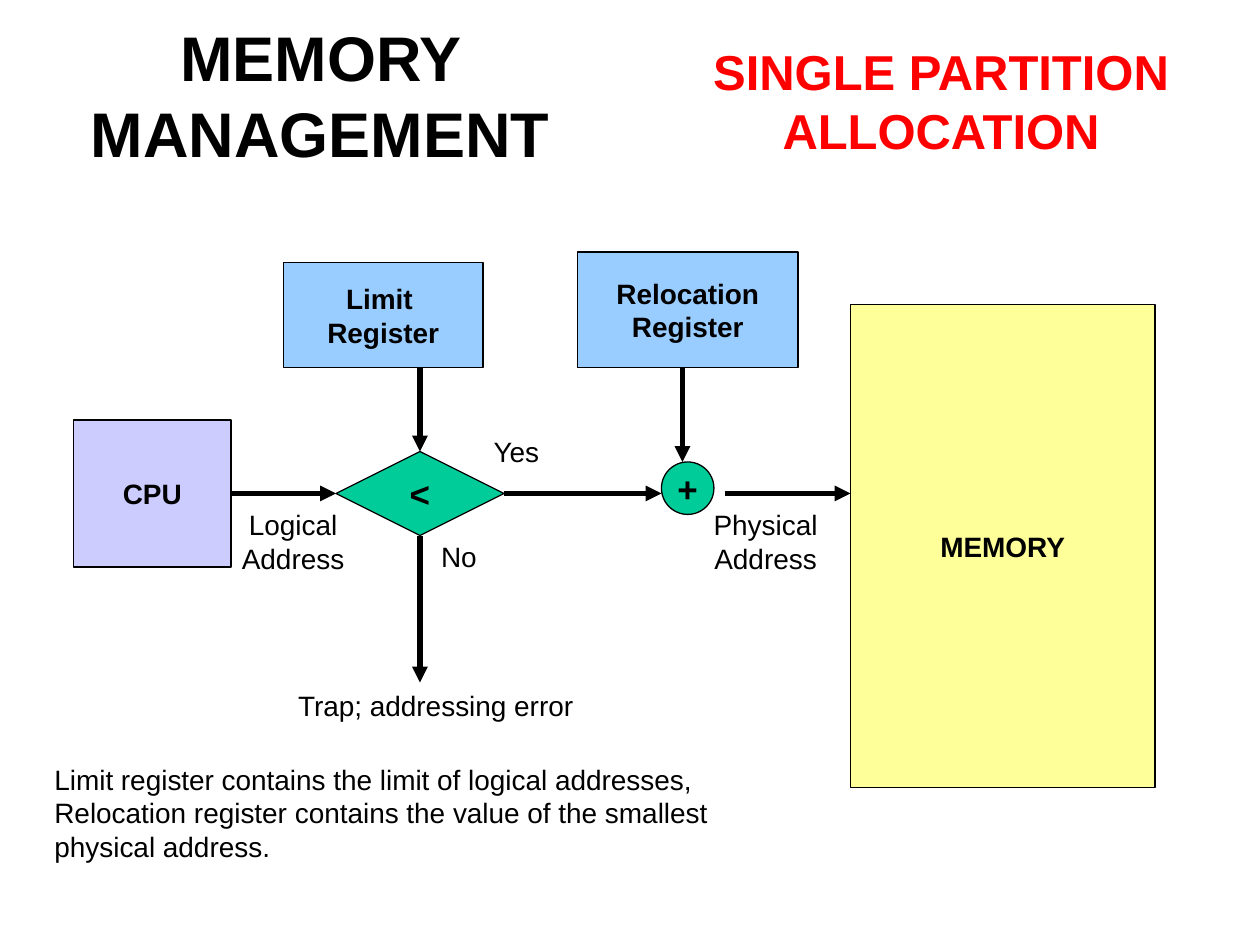
"""Draw the single partition allocation slide."""
from dataclasses import dataclass
from typing import Optional

from lxml import etree
from pptx import Presentation
from pptx.dml.color import RGBColor
from pptx.enum import shapes, text
from pptx.oxml import ns
from pptx.util import Pt

BLACK = "000000"
KIND = shapes.MSO_SHAPE
MID = text.MSO_ANCHOR.MIDDLE
TOP = text.MSO_ANCHOR.TOP
LEFT = text.PP_ALIGN.LEFT
CENTER = text.PP_ALIGN.CENTER
UP, WEST, DOWN, EAST = range(4)


@dataclass
class Style:
    size: float = 16
    bold: bool = False
    color: str = BLACK
    align: int = CENTER
    anchor: int = TOP
    wrap: bool = False
    grow: bool = True


@dataclass
class Node:
    name: str
    words: str
    box: tuple
    fill: str
    kind: int = KIND.RECTANGLE
    size: float = 16


@dataclass
class Label:
    words: str
    box: tuple
    style: Style


@dataclass
class Arrow:
    start: tuple
    end: tuple
    tail: Optional[tuple] = None
    head: Optional[tuple] = None


PLAIN = Style()
SIDE = Style(align=LEFT)
LABELS = [
    Label("MEMORY MANAGEMENT", (0, 12, 366, 84),
          Style(36, True, anchor=MID, wrap=True, grow=False)),
    Label("SINGLE PARTITION\nALLOCATION", (398.5, 20, 278.5, 75), Style(28, True, "FF0000")),
    Label("No", (245, 304.5, 36, 26.5), SIDE),
    Label("Logical\nAddress", (130, 286.5, 75, 46), PLAIN),
    Label("Yes", (275, 244.5, 43, 26.5), SIDE),
    Label("Physical\nAddress", (399.5, 286.5, 76, 46), PLAIN),
    Label("Limit register contains the limit of logical addresses, Relocation register "
          "contains the value of the smallest physical address.",
          (24, 432, 438, 65), Style(align=LEFT, wrap=True)),
    Label("Trap; addressing error", (126, 390, 246, 26.5), Style(wrap=True)),
]
NODES = [
    Node("cpu", "CPU", (42, 240, 90, 84), "CCCCFF"),
    Node("memory", "MEMORY", (486, 174, 174, 276), "FFFF99"),
    Node("limit", "Limit \nRegister", (162, 150, 114, 60), "99CCFF"),
    Node("base", "Relocation\nRegister", (330, 144, 126, 66), "99CCFF"),
    Node("adder", "+", (378, 264, 30, 30), "00CC99", KIND.OVAL, 20),
    Node("test", "<", (192, 258, 96, 48), "00CC99", KIND.FLOWCHART_DECISION, 20),
]
ARROWS = [
    Arrow((132, 282), (192, 282), ("cpu", EAST), ("test", WEST)),
    Arrow((288, 282), (378, 282), ("test", EAST)),
    Arrow((414, 282), (486, 282)),
    Arrow((240, 306), (240, 390), ("test", DOWN)),
    Arrow((240, 210), (240, 258), None, ("test", UP)),
    Arrow((390, 210), (390, 264)),
]


def paint(target, color: str) -> None:
    """Give a fill a solid colour."""
    target.solid()
    target.fore_color.rgb = RGBColor.from_string(color)


def write(shape, words: str, style: Style) -> None:
    """Set the text of a shape, one paragraph a line."""
    frame = shape.text_frame
    frame.text = words
    frame.word_wrap = style.wrap
    frame.vertical_anchor = style.anchor
    if style.grow:
        frame.auto_size = text.MSO_AUTO_SIZE.SHAPE_TO_FIT_TEXT
    for para in frame.paragraphs:
        para.alignment = style.align
        font = para.font
        font.name = "Arial"
        font.size = Pt(style.size)
        font.bold = style.bold
        paint(font.fill, style.color)


def add_label(slide, label: Label) -> None:
    """Add a text box."""
    box = slide.shapes.add_textbox(*map(Pt, label.box))
    write(box, label.words, label.style)


def add_node(slide, node: Node):
    """Add a filled, outlined shape with bold text."""
    shape = slide.shapes.add_shape(node.kind, *map(Pt, node.box))
    shape.shadow.inherit = False
    paint(shape.fill, node.fill)
    paint(shape.line.fill, BLACK)
    shape.line.width = Pt(0.75)
    write(shape, node.words, Style(node.size, True, anchor=MID, grow=False))
    return shape


def add_arrow(slide, arrow: Arrow, nodes: dict) -> None:
    """Add a thick arrow and join it to its nodes."""
    line = slide.shapes.add_connector(
        shapes.MSO_CONNECTOR.STRAIGHT, *map(Pt, arrow.start + arrow.end))
    if arrow.tail:
        name, side = arrow.tail
        line.begin_connect(nodes[name], side)
    if arrow.head:
        name, side = arrow.head
        line.end_connect(nodes[name], side)
    paint(line.line.fill, BLACK)
    line.line.width = Pt(3)
    props = line._element.spPr
    etree.SubElement(props.get_or_add_ln(), ns.qn("a:tailEnd"), type="triangle")
    etree.SubElement(props, ns.qn("a:effectLst"))


def main() -> None:
    """Build and save the slide."""
    deck = Presentation()
    deck.slide_width, deck.slide_height = Pt(720), Pt(540)
    slide = deck.slides.add_slide(deck.slide_layouts[6])
    nodes = {node.name: add_node(slide, node) for node in NODES}
    for arrow in ARROWS:
        add_arrow(slide, arrow, nodes)
    for label in LABELS:
        add_label(slide, label)
    deck.save("out.pptx")


if __name__ == "__main__":
    main()
